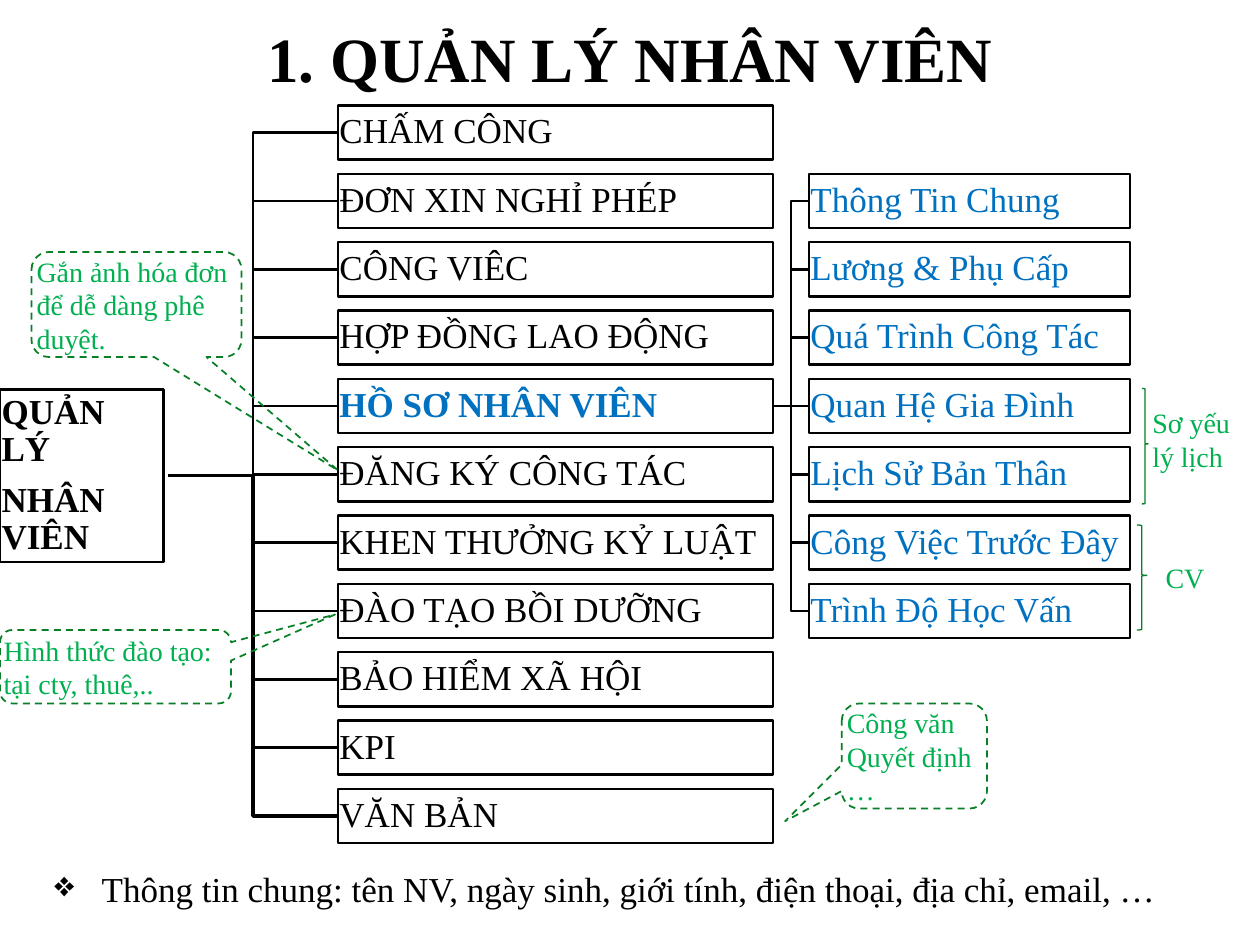
from collections import namedtuple
from dataclasses import dataclass

from lxml.etree import SubElement
from pptx import Presentation
from pptx.dml.color import RGBColor
from pptx.enum.dml import MSO_LINE_DASH_STYLE as Dash
from pptx.enum.shapes import MSO_SHAPE as Shape
from pptx.enum.text import MSO_ANCHOR as Anchor, PP_ALIGN as Align
from pptx.oxml.ns import qn
from pptx.util import Pt

Box = namedtuple("Box", "left top width height")


@dataclass(frozen=True)
class Theme:
    font: str = "Times New Roman"
    black: RGBColor = RGBColor(0x00, 0x00, 0x00)
    blue: RGBColor = RGBColor(0x00, 0x70, 0xC0)
    green: RGBColor = RGBColor(0x00, 0xB0, 0x50)
    dark_green: RGBColor = RGBColor(0x07, 0x7F, 0x26)
    title: int = 36
    body: int = 20
    note: int = 16


THEME = Theme()
ROOT = ["QUẢN LÝ", "NHÂN VIÊN"]
MODULES = [
    "CHẤM CÔNG", "ĐƠN XIN NGHỈ PHÉP", "CÔNG VIÊC", "HỢP ĐỒNG LAO ĐỘNG",
    "HỒ SƠ NHÂN VIÊN", "ĐĂNG KÝ CÔNG TÁC", "KHEN THƯỞNG KỶ LUẬT",
    "ĐÀO TẠO BỒI DƯỠNG", "BẢO HIỂM XÃ HỘI", "KPI", "VĂN BẢN",
]
PROFILE_ROW = 4
PROFILE_PARTS = [
    "Thông Tin Chung", "Lương & Phụ Cấp", "Quá Trình Công Tác",
    "Quan Hệ Gia Đình", "Lịch Sử Bản Thân", "Công Việc Trước Đây",
    "Trình Độ Học Vấn",
]
ROW_PITCH = 39.05
ROW_HEIGHT = 31


def points(box):
    return [Pt(length) for length in box]


def write(shape, lines, size, color, bold=False, inset=None, anchor=Anchor.TOP,
          align=Align.LEFT, spacing=None, after=0):
    frame = shape.text_frame
    frame.word_wrap = True
    frame.vertical_anchor = anchor
    if inset is not None:
        frame.margin_left = frame.margin_right = Pt(inset)
        frame.margin_top = frame.margin_bottom = Pt(inset)
    frame.text = "\n".join(lines)
    for paragraph in frame.paragraphs:
        paragraph.alignment = align
        paragraph.line_spacing = spacing
        paragraph.space_after = Pt(after)
        for run in paragraph.runs:
            run.font.name = THEME.font
            run.font.size = Pt(size)
            run.font.bold = bold
            run.font.color.rgb = color


def outline(shape, color, width):
    shape.shadow.inherit = False
    shape.fill.background()
    shape.line.color.rgb = color
    shape.line.width = Pt(width)


def add_text(slide, box, lines, size, color, **style):
    shape = slide.shapes.add_textbox(*points(box))
    write(shape, lines, size, color, **style)
    return shape


def add_node(slide, box, lines, color, bold=False):
    shape = slide.shapes.add_shape(Shape.RECTANGLE, *points(box))
    outline(shape, THEME.black, 1.5)
    write(shape, lines, THEME.body, color, bold, inset=0.9,
          anchor=Anchor.MIDDLE, spacing=0.9, after=7)


def add_elbow(slide, start, end, width=1.5):
    """Draw a branch that turns halfway between its two ends."""
    (x1, y1), (x2, y2) = start, end
    middle = (x1 + x2) / 2
    builder = slide.shapes.build_freeform(Pt(x1), Pt(y1), scale=1.0)
    corners = [end] if y1 == y2 else [(middle, y1), (middle, y2), end]
    builder.add_line_segments([(Pt(x), Pt(y)) for x, y in corners], close=False)
    outline(builder.convert_to_shape(), THEME.black, width)


def row_box(area, row):
    return Box(area.left, area.top + row * ROW_PITCH, area.width, ROW_HEIGHT)


def row_center(area, row):
    return area.top + row * ROW_PITCH + ROW_HEIGHT / 2


def add_tree(slide, box):
    root = Box(box.left, box.top + 162.1, 93.6, 98.8)
    modules = Box(box.left + 193.1, box.top, 248.6, box.height)
    parts = Box(box.left + 462.2, box.top + ROW_PITCH, 183.6, box.height)

    # Branches
    root_exit = (root.left + 96, root.top + root.height / 2)
    for row in reversed(range(len(MODULES))):
        width = 2 if row == len(MODULES) - 1 else 1.5
        add_elbow(slide, root_exit, (modules.left, row_center(modules, row)), width)
    profile_exit = (modules.left + modules.width, row_center(modules, PROFILE_ROW))
    for row in range(len(PROFILE_PARTS)):
        # The parts start one row below the modules
        end = (parts.left, row_center(modules, row + 1))
        add_elbow(slide, profile_exit, end)

    # Boxes
    add_node(slide, root, ROOT, THEME.black, bold=True)
    for row, name in enumerate(MODULES):
        profile = row == PROFILE_ROW
        color = THEME.blue if profile else THEME.black
        add_node(slide, row_box(modules, row), [name], color, bold=profile)
    for row, name in enumerate(PROFILE_PARTS):
        add_node(slide, row_box(parts, row), [name], THEME.blue)


def add_brace(slide, box, label_box, label, inset=None):
    brace = slide.shapes.add_shape(Shape.RIGHT_BRACE, *points(box))
    brace.adjustments[0] = 0.08
    brace.adjustments[1] = 0.48
    outline(brace, THEME.dark_green, 0.75)
    add_text(slide, label_box, [label], THEME.note, THEME.green, inset=inset)


def add_callout(slide, box, lines, tip):
    """Place a note whose tip is an offset from its centre, in box sizes."""
    shape = slide.shapes.add_shape(Shape.ROUNDED_RECTANGULAR_CALLOUT, *points(box))
    shape.adjustments[0], shape.adjustments[1] = tip
    outline(shape, THEME.dark_green, 1)
    shape.line.dash_style = Dash.DASH
    write(shape, lines, THEME.note, THEME.green, inset=0, anchor=Anchor.MIDDLE)


def add_bullet(slide, box, text):
    shape = add_text(slide, box, [text], THEME.body, THEME.black)
    properties = shape.text_frame.paragraphs[0]._p.get_or_add_pPr()
    properties.set("marL", str(Pt(27)))
    properties.set("indent", str(Pt(-27)))
    SubElement(properties, qn("a:buChar")).set("char", "❖")


def main():
    presentation = Presentation()
    presentation.slide_width, presentation.slide_height = Pt(720), Pt(540)
    slide = presentation.slides.add_slide(presentation.slide_layouts[6])

    # Title
    add_text(slide, Box(0, 6, 720, 54), ["1. QUẢN LÝ NHÂN VIÊN"], THEME.title,
             THEME.black, bold=True, anchor=Anchor.MIDDLE, align=Align.CENTER)

    # Staff management tree
    add_tree(slide, Box(0, 60.3, 646, 422))

    # Groups of profile parts
    add_brace(slide, Box(649.7, 300, 5.6, 60), Box(659, 317, 42, 26.6), "CV")
    add_brace(slide, Box(652.5, 222, 3.6, 66), Box(658.5, 232, 52.5, 39),
              "Sơ yếu lý lịch", inset=0)

    # Closing remark
    add_bullet(slide, Box(24, 492, 690, 31.5),
               "Thông tin chung: tên NV, ngày sinh, giới tính, điện thoại, "
               "địa chỉ, email, …")

    # Notes
    add_callout(slide, Box(481, 402, 83, 60),
                ["Công văn", "Quyết định", "…"], (-0.89, 0.62))
    add_callout(slide, Box(0, 360, 132, 42),
                ["Hình thức đào tạo: tại cty, thuê,.."], (0.95, -0.71))
    add_callout(slide, Box(18, 144, 120, 60),
                ["Gắn ảnh hóa đơn để dễ dàng phê duyệt."], (0.96, 1.58))

    presentation.save("out.pptx")


if __name__ == "__main__":
    main()
